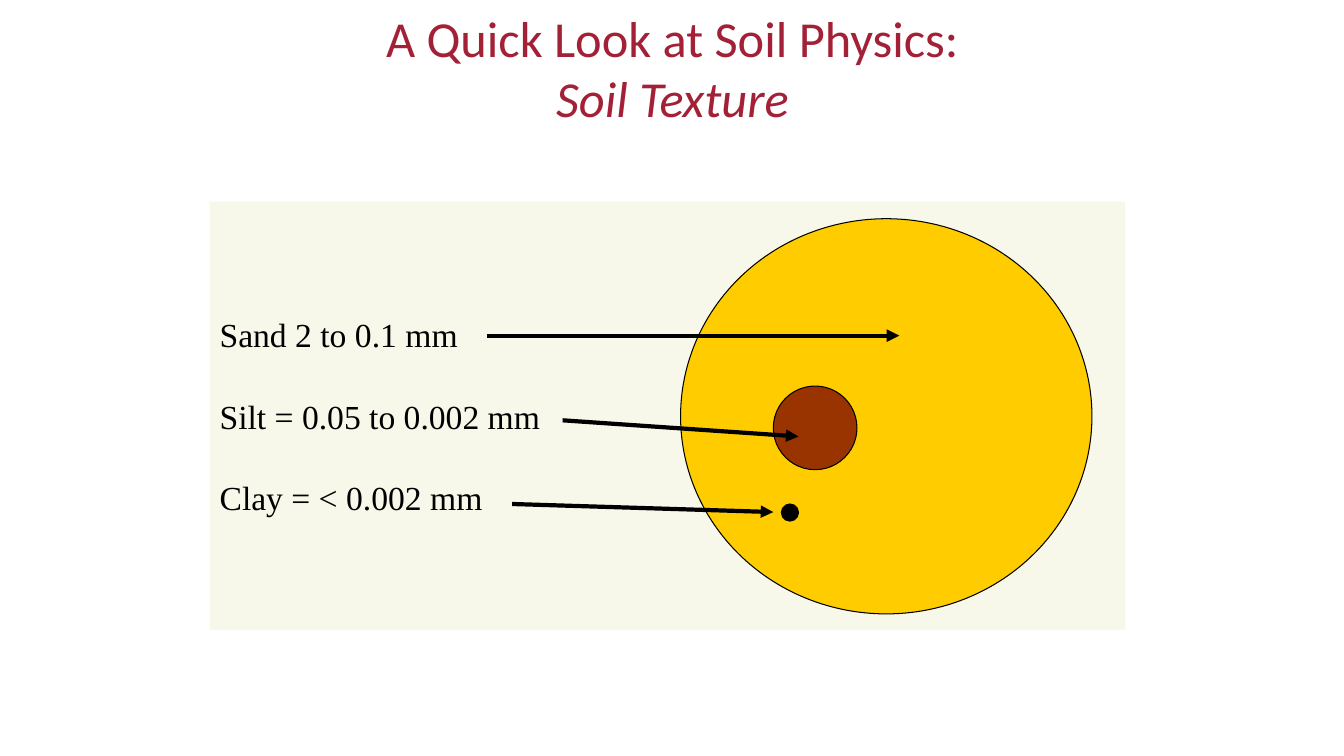
from lxml.etree import SubElement
from pptx import Presentation
from pptx.dml.color import RGBColor
from pptx.enum.shapes import MSO_CONNECTOR, MSO_SHAPE
from pptx.enum.text import MSO_ANCHOR, MSO_AUTO_SIZE, PP_ALIGN
from pptx.oxml.ns import qn
from pptx.util import Inches, Pt

BLACK = "000000"
SIZE_CLASSES = ["Sand 2 to 0.1 mm", "Silt = 0.05 to 0.002 mm", "Clay = < 0.002 mm"]
GRAINS = [
    (4.67, 0.17, 4.08, 3.92, "FFCC00"),
    (5.59, 1.83, 0.83, 0.83, "993300"),
    (5.67, 3, 0.17, 0.17, BLACK),
]
ARROWS = [
    (2.75, 1.33, 6.84, 1.33),
    (3.5, 2.17, 5.84, 2.33),
    (3, 3, 5.59, 3.08),
]


def color(hex_string):
    return RGBColor.from_string(hex_string)


def style_font(font, name, size, hex_string):
    font.name = name
    font.size = Pt(size)
    font.color.rgb = color(hex_string)


def add_filled_shape(page, kind, left, top, width, height, fill):
    shape = page.shapes.add_shape(
        kind, Inches(left), Inches(top), Inches(width), Inches(height)
    )
    shape.shadow.inherit = False
    shape.fill.solid()
    shape.fill.fore_color.rgb = color(fill)
    return shape


def place_title(page, left, top, width, height):
    title = page.shapes.title
    title.left, title.top = Inches(left), Inches(top)
    title.width, title.height = Inches(width), Inches(height)
    frame = title.text_frame
    frame.text = "A Quick Look at Soil Physics:\vSoil Texture"
    frame.auto_size = MSO_AUTO_SIZE.NONE
    frame.vertical_anchor = MSO_ANCHOR.MIDDLE
    para = frame.paragraphs[0]
    para.alignment = PP_ALIGN.CENTER
    for span in para.runs:
        style_font(span.font, "Calibri", 36, "A32136")
    para.runs[-1].font.italic = True


def add_label_panel(page, left, top, width, height):
    panel = add_filled_shape(
        page, MSO_SHAPE.RECTANGLE, left, top, width, height, "F5F4E2"
    )
    panel.line.fill.background()
    fill_color = panel.fill._xPr.find(qn("a:solidFill"))[0]
    SubElement(fill_color, qn("a:alpha"), val="70000")
    frame = panel.text_frame
    frame.word_wrap = True
    frame.vertical_anchor = MSO_ANCHOR.MIDDLE
    frame.text = "\n".join(SIZE_CLASSES)
    for index, para in enumerate(frame.paragraphs):
        para.alignment = PP_ALIGN.LEFT
        para.space_before = Pt(29.3 if index else 0)
        style_font(para.runs[0].font, "Times New Roman", 24, BLACK)


def add_arrow(page, start_x, start_y, end_x, end_y):
    arrow = page.shapes.add_connector(
        MSO_CONNECTOR.STRAIGHT,
        Inches(start_x), Inches(start_y), Inches(end_x), Inches(end_y),
    )
    arrow.line.color.rgb = color(BLACK)
    arrow.line.width = Pt(3)
    SubElement(arrow.line._get_or_add_ln(), qn("a:tailEnd"), type="triangle")
    SubElement(arrow._element.spPr, qn("a:effectLst"))


def add_texture_diagram(page, left, top, width, height):
    add_label_panel(page, left, top, width, height)
    for x, y, grain_width, grain_height, fill in GRAINS:
        grain = add_filled_shape(
            page, MSO_SHAPE.OVAL, left + x, top + y, grain_width, grain_height, fill
        )
        grain.line.color.rgb = color(BLACK)
        grain.line.width = Pt(0.75)
    for start_x, start_y, end_x, end_y in ARROWS:
        add_arrow(page, left + start_x, top + start_y, left + end_x, top + end_y)


def main():
    deck = Presentation()
    deck.slide_width, deck.slide_height = Inches(13.33), Inches(7.5)
    page = deck.slides.add_slide(deck.slide_layouts[5])
    place_title(page, 0.67, 0.3, 12, 0.74)
    add_texture_diagram(page, 2.08, 2, 9.08, 4.25)
    deck.save("out.pptx")


if __name__ == "__main__":
    main()
